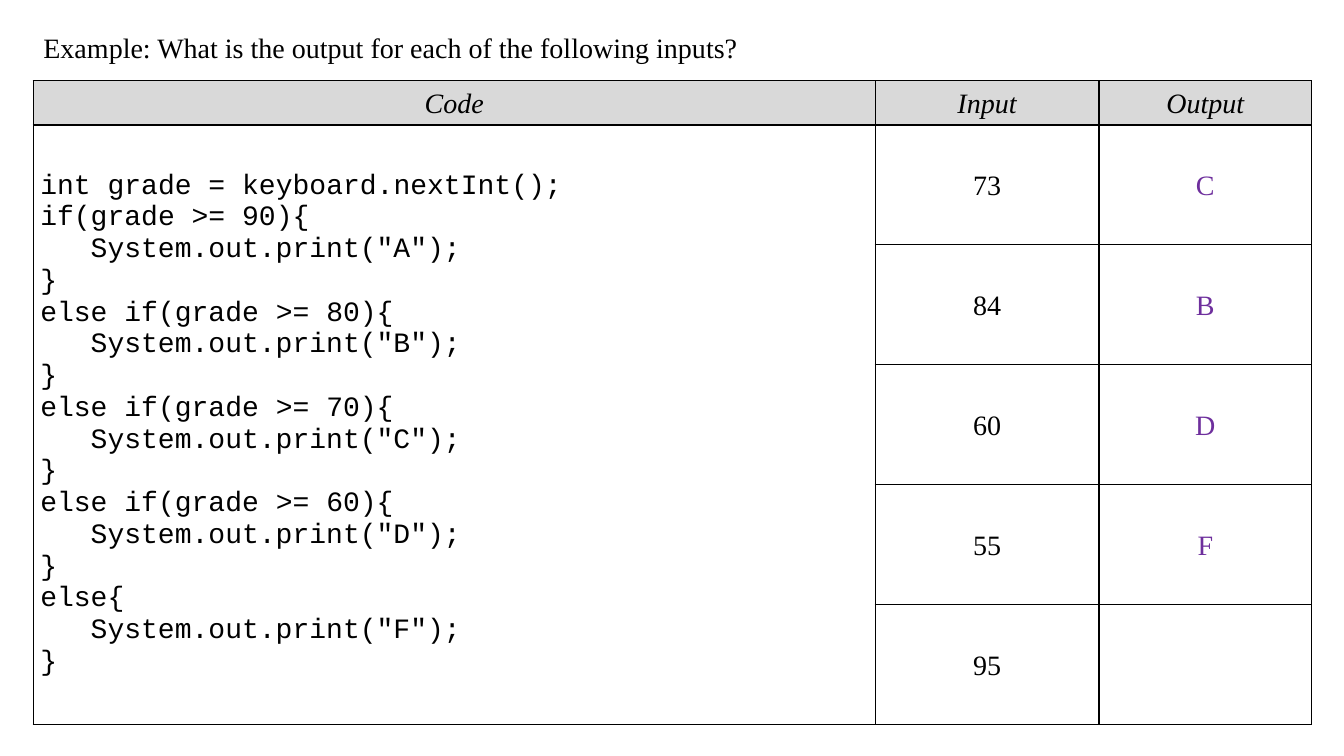
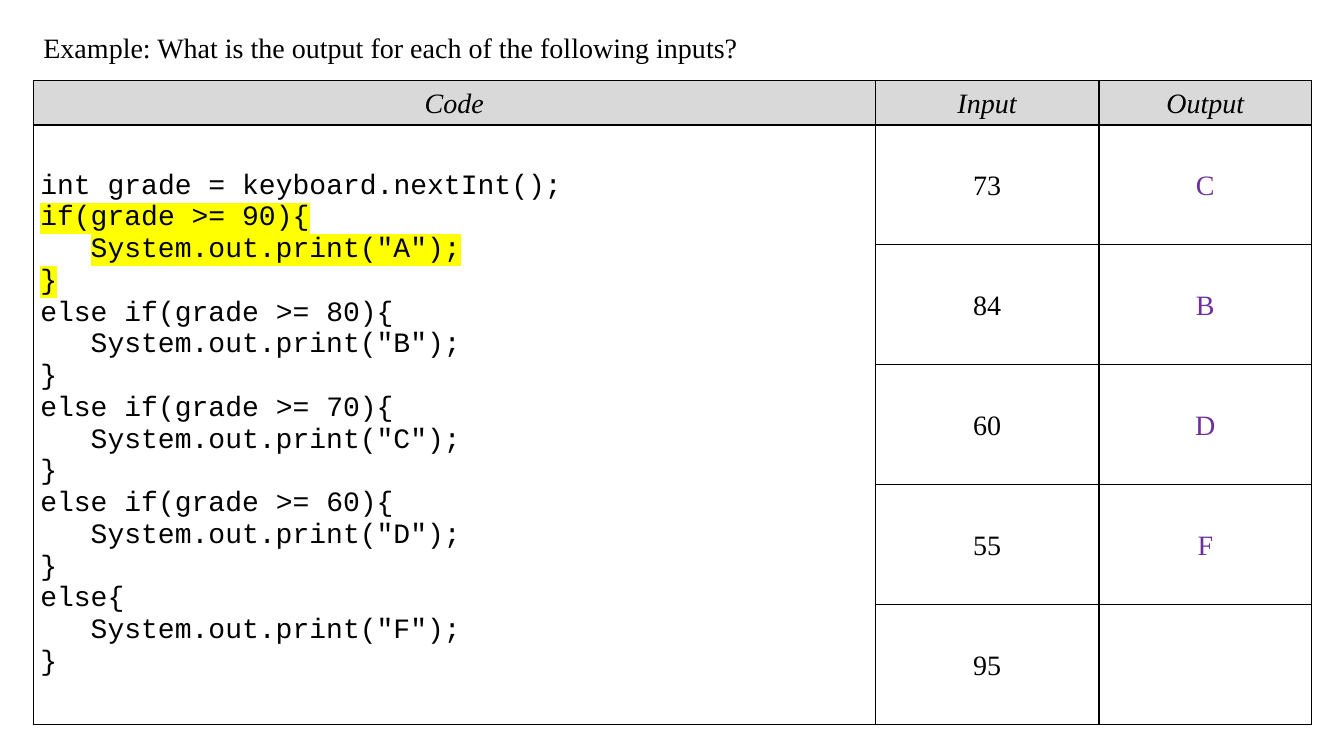
from dataclasses import dataclass

from lxml import etree
from pptx import Presentation
from pptx import util as u
from pptx.dml.color import RGBColor
from pptx.enum import text
from pptx.oxml import ns
from pptx.slide import Slide
from pptx.table import _Cell as Cell


@dataclass(frozen=True)
class Theme:
    """Colours, fonts and sizes shared by the slides."""
    ink: str = "000000"
    answer: str = "6E2F9D"
    header: str = "D9D9D9"
    marker: str = "FFFF00"
    serif: str = "Times New Roman"
    mono: str = "Courier New"
    size: u.Pt = u.Pt(20)
    border: u.Pt = u.Pt(1)


@dataclass(frozen=True)
class Style:
    """Look of the text in one kind of cell."""
    font: str
    color: str
    italic: bool = False
    centered: bool = True


@dataclass(frozen=True)
class Case:
    """One input with the output it gives."""
    given: str
    output: str


THEME = Theme()
PLAIN = Style(THEME.serif, THEME.ink)
HEADING = Style(THEME.serif, THEME.ink, italic=True)
ANSWER = Style(THEME.serif, THEME.answer)
CODE_STYLE = Style(THEME.mono, THEME.ink, centered=False)

TITLE = "Example: What is the output for each of the following inputs?"
HEADERS = ("Code", "Input", "Output")
COLUMN_WIDTHS = (8.35, 2.22, 2.11)
HEADER_HEIGHT, CASE_HEIGHT = 0.44, 1.19
LEFT, TITLE_TOP, TABLE_TOP = 0.33, 0.25, 0.8
CASES = (Case("73", "C"), Case("84", "B"), Case("60", "D"), Case("55", "F"), Case("95", ""))
CODE = """int grade = keyboard.nextInt();
if(grade >= 90){
\tSystem.out.print("A");
}
else if(grade >= 80){
\tSystem.out.print("B");
}
else if(grade >= 70){
\tSystem.out.print("C");
}
else if(grade >= 60){
\tSystem.out.print("D");
}
else{
\tSystem.out.print("F");
}"""
HIGHLIGHTS = (range(0), range(1, 4))


def format_frame(frame: text.MSO_ANCHOR, style: Style) -> None:
    """Apply a style to every paragraph of a text frame."""
    for paragraph in frame.paragraphs:
        paragraph.alignment = text.PP_ALIGN.CENTER if style.centered else text.PP_ALIGN.LEFT
        for run in paragraph.runs:
            font = run.font
            font.size, font.name = THEME.size, style.font
            font.bold, font.italic = False, style.italic
            font.color.rgb = RGBColor.from_string(style.color)


def add_borders(cell: Cell) -> None:
    """Draw a solid line on all four sides of a cell."""
    properties = cell._tc.get_or_add_tcPr()
    for side in ("lnL", "lnR", "lnT", "lnB"):
        line = etree.SubElement(properties, ns.qn(f"a:{side}"), w=str(int(THEME.border)))
        fill = etree.SubElement(line, ns.qn("a:solidFill"))
        etree.SubElement(fill, ns.qn("a:srgbClr"), val=THEME.ink)


def fill_cell(cell: Cell, content: str, style: Style) -> None:
    """Write and format the text of a cell."""
    cell.text_frame.text = content
    format_frame(cell.text_frame, style)
    cell.vertical_anchor = text.MSO_ANCHOR.MIDDLE
    cell.margin_left = cell.margin_right = u.Inches(0.07)
    cell.margin_top = cell.margin_bottom = 0
    if style.centered:
        paragraph = cell.text_frame.paragraphs[0]
        paragraph.line_spacing, paragraph.space_after = 1.07, u.Pt(8)


def highlight_lines(cell: Cell, lines: range) -> None:
    """Mark the given lines of code."""
    for index in lines:
        for run in cell.text_frame.paragraphs[index].runs:
            highlight = etree.Element(ns.qn("a:highlight"))
            etree.SubElement(highlight, ns.qn("a:srgbClr"), val=THEME.marker)
            run.font._element.find(ns.qn("a:latin")).addprevious(highlight)


def add_title(slide: Slide) -> None:
    """Place and format the question in the title placeholder."""
    title = slide.shapes.title
    title.left, title.top = u.Inches(LEFT), u.Inches(TITLE_TOP)
    title.width, title.height = u.Inches(8.05), u.Inches(0.44)
    frame = title.text_frame
    frame.text = TITLE
    frame.word_wrap = True
    frame.auto_size = text.MSO_AUTO_SIZE.NONE
    frame.vertical_anchor = text.MSO_ANCHOR.TOP
    format_frame(frame, Style(THEME.serif, THEME.ink, centered=False))


def add_code_table(slide: Slide, highlighted: range) -> None:
    """Add the table of code, inputs and outputs."""
    heights = (HEADER_HEIGHT, *[CASE_HEIGHT] * len(CASES))
    table = slide.shapes.add_table(
        len(heights), len(HEADERS), u.Inches(LEFT), u.Inches(TABLE_TOP),
        u.Inches(sum(COLUMN_WIDTHS)), u.Inches(sum(heights))).table
    table.first_row = table.horz_banding = False
    for column, width in zip(table.columns, COLUMN_WIDTHS):
        column.width = u.Inches(width)
    for row, height in zip(table.rows, heights):
        row.height = u.Inches(height)
    for cell in table.iter_cells():
        add_borders(cell)
        cell.fill.background()
    for index, header in enumerate(HEADERS):
        cell = table.cell(0, index)
        fill_cell(cell, header, HEADING)
        cell.fill.solid()
        cell.fill.fore_color.rgb = RGBColor.from_string(THEME.header)
    code_cell = table.cell(1, 0)
    code_cell.merge(table.cell(len(CASES), 0))
    fill_cell(code_cell, CODE, CODE_STYLE)
    highlight_lines(code_cell, highlighted)
    for index, case in enumerate(CASES, start=1):
        fill_cell(table.cell(index, 1), case.given, PLAIN)
        fill_cell(table.cell(index, 2), case.output, ANSWER)


def main() -> None:
    """Build and save the presentation."""
    presentation = Presentation()
    presentation.slide_width, presentation.slide_height = u.Inches(13.33), u.Inches(7.5)
    title_only = presentation.slide_layouts[5]
    for highlighted in HIGHLIGHTS:
        slide = presentation.slides.add_slide(title_only)
        add_title(slide)
        add_code_table(slide, highlighted)
    presentation.save("out.pptx")


if __name__ == "__main__":
    main()
